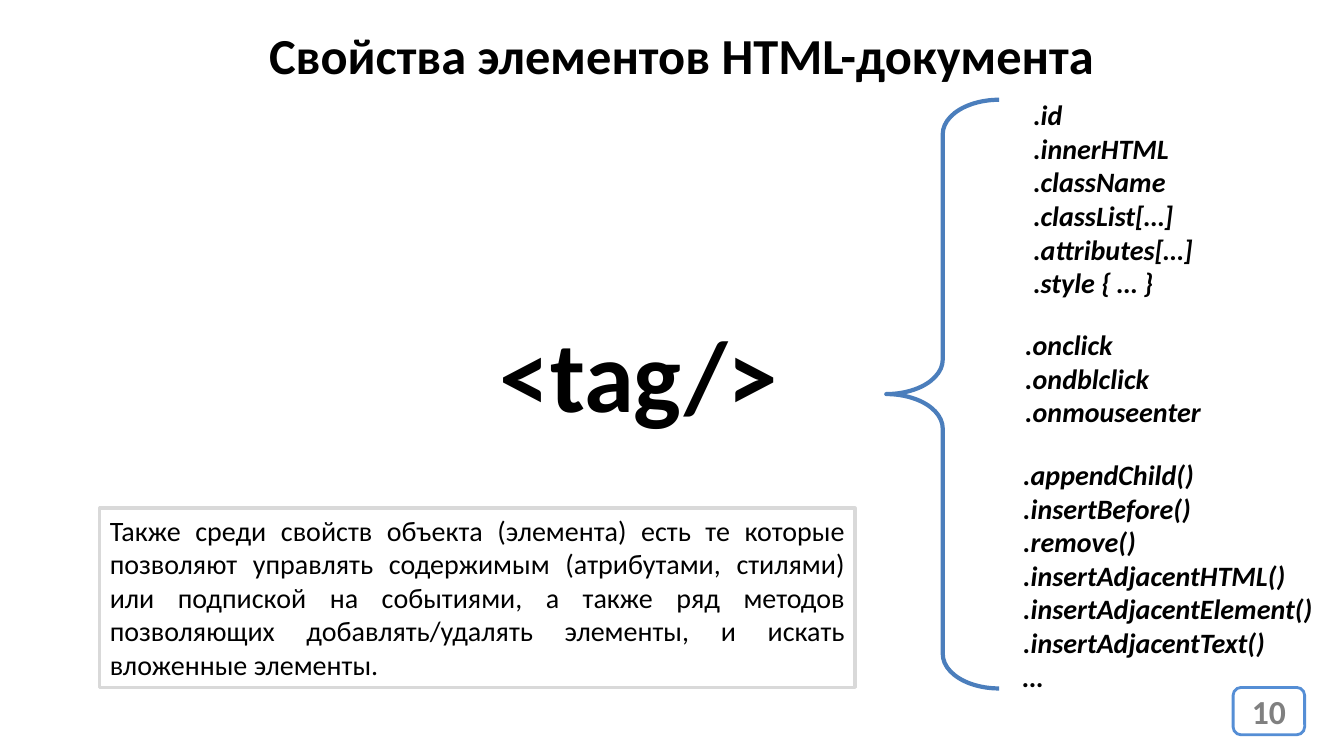
from pptx import Presentation
from pptx.dml.color import RGBColor
from pptx.enum.shapes import MSO_SHAPE
from pptx.enum.text import MSO_ANCHOR, PP_ALIGN
from pptx.util import Emu, Pt

PX = 9144
COLORS = {
    "text": "000000",
    "number": "808080",
    "paper": "FFFFFF",
    "badge": "558ED5",
    "frame": "D9D9D9",
    "brace": "4B7EBC",
}


def add_outline(kind, box, color, width):
    outline = slide.shapes.add_shape(kind, *[Emu(n * PX) for n in box])
    outline.shadow.inherit = False
    outline.fill.background()
    outline.line.color.rgb = RGBColor.from_string(COLORS[color])
    outline.line.width = Pt(width)
    return outline


def write(frame, lines, size, color="text", bold=True, italic=False, align=PP_ALIGN.LEFT):
    for i, line in enumerate(lines):
        paragraph = frame.add_paragraph() if i else frame.paragraphs[0]
        paragraph.alignment = align
        run = paragraph.add_run()
        run.text = line
        run.font.name = "Calibri"
        run.font.size = Pt(size)
        run.font.bold = bold
        run.font.italic = italic
        run.font.color.rgb = RGBColor.from_string(COLORS[color])


deck = Presentation()
deck.slide_width = Emu(1333 * PX)
deck.slide_height = Emu(750 * PX)
slide = deck.slides.add_slide(deck.slide_layouts[6])

page_badge = add_outline(MSO_SHAPE.ROUNDED_RECTANGLE, (1223, 682, 71, 47), "badge", 2)
page_badge.fill.solid()
page_badge.fill.fore_color.rgb = RGBColor.from_string(COLORS["paper"])
page_badge.text_frame.vertical_anchor = MSO_ANCHOR.MIDDLE
write(page_badge.text_frame, ["10"], 24, "number", align=PP_ALIGN.CENTER)

explanation = add_outline(MSO_SHAPE.RECTANGLE, (99, 504, 749, 178), "frame", 2.25)
explanation.text_frame.word_wrap = True
explanation.text_frame.vertical_anchor = MSO_ANCHOR.TOP
write(
    explanation.text_frame,
    ["Также среди свойств объекта (элемента) есть те которые позволяют управлять "
     "содержимым (атрибутами, стилями) или подпиской на событиями, а также ряд методов "
     "позволяющих добавлять/удалять элементы, и искать вложенные элементы."],
    20, bold=False, align=PP_ALIGN.JUSTIFY,
)

members_brace = add_outline(MSO_SHAPE.LEFT_BRACE, (879, 99, 112, 584), "brace", 3)
members_brace.adjustments[0] = 0.305
members_brace.adjustments[1] = 0.5

properties = [".id", ".innerHTML", ".className", ".classList[…]", ".attributes[…]", ".style { … }"]
events = [".onclick", ".ondblclick", ".onmouseenter"]
methods = [".appendChild()", ".insertBefore()", ".remove()", ".insertAdjacentHTML()",
           ".insertAdjacentElement()", ".insertAdjacentText()", "…"]

for box, lines, size, italic in [
    ((257, 19, 849, 71), ["Свойства элементов HTML-документа"], 36, False),
    ((486, 304, 299, 131), ["<tag/>"], 72, False),
    ((1015, 92, 180, 212), properties, 20, True),
    ((1007, 320, 196, 111), events, 20, True),
    ((1005, 449, 309, 246), methods, 20, True),
]:
    label = slide.shapes.add_textbox(*[Emu(n * PX) for n in box])
    label.text_frame.word_wrap = False
    write(label.text_frame, lines, size, italic=italic)

deck.save("out.pptx")
